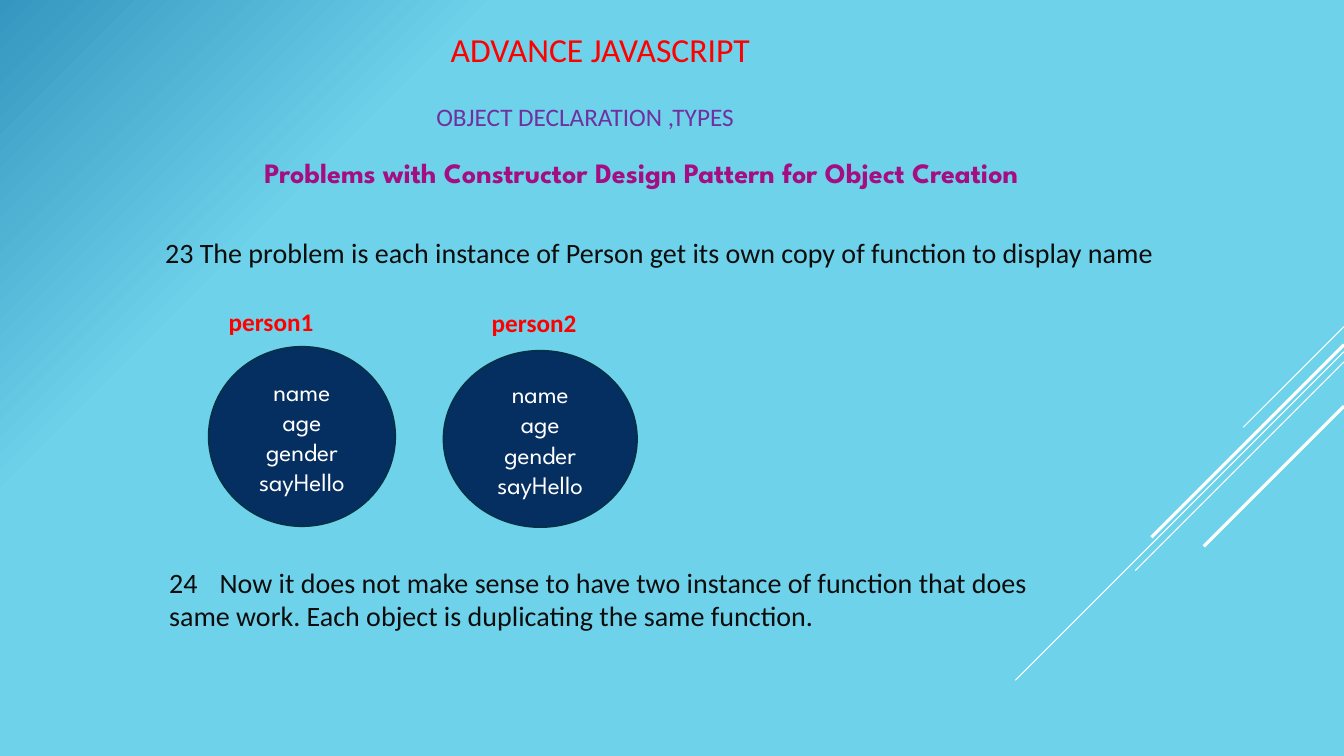
from pptx import Presentation
from pptx.dml.color import RGBColor
from pptx.enum.shapes import MSO_CONNECTOR as CONN, MSO_SHAPE as SHAPE
from pptx.enum.text import MSO_ANCHOR as ANCHOR, MSO_AUTO_SIZE as AUTO, PP_ALIGN as ALIGN
from pptx.oxml import parse_xml
from pptx.oxml.ns import nsdecls
from pptx.util import Inches, Pt

WIDTH, HEIGHT = Inches(13.33), Inches(7.5)
SANS, SPARTAN = "Calibri", "League Spartan"
RED, PURPLE, MAGENTA, INK, WHITE = "FF0000", "7030A0", "A50E82", "0D0D0D", "FFFFFF"
NAVY, NAVY_EDGE = "052F61", "043148"
MEMBERS = ("name", "age", "gender", "sayHello")


def rgb(code):
    """Turn a hex string into a colour."""
    return RGBColor.from_string(code)


def box(x, y, w, h):
    """Turn percentages of the slide's size into left, top, width and height."""
    return [int(share * side / 100) for share, side in zip((x, y, w, h), (WIDTH, HEIGHT) * 2)]


def style(obj, **values):
    """Set attributes from a dict of format values."""
    for key, value in values.items():
        setattr(obj, key, value)


def write(sp, lines, size, color, font=SANS, bold=False, align=ALIGN.LEFT, anchor=ANCHOR.TOP):
    """Fill a shape with one formatted paragraph per line."""
    tf = sp.text_frame
    style(tf, text="\n".join(lines), word_wrap=True, auto_size=AUTO.NONE, vertical_anchor=anchor)
    for p in tf.paragraphs:
        p.alignment = align
        for r in p.runs:
            style(r.font, name=font, size=Pt(size), bold=bold)
            r.font.color.rgb = rgb(color)


def add_label(slide, place, text, size, color, **fmt):
    """Add a text box with one paragraph."""
    write(slide.shapes.add_textbox(*box(*place)), [text], size, color, **fmt)


def add_person(slide, place, members):
    """Add an ellipse that lists the members of an object."""
    sp = slide.shapes.add_shape(SHAPE.OVAL, *box(*place))
    sp.shadow.inherit = False
    sp.fill.solid()
    sp.fill.fore_color.rgb = rgb(NAVY)
    sp.line.color.rgb = rgb(NAVY_EDGE)
    sp.line.width = Pt(1.25)
    write(sp, members, 18, WHITE, font=SPARTAN, align=ALIGN.CENTER, anchor=ANCHOR.MIDDLE)


def add_streak(slide, y, run, weight):
    """Add a diagonal line that falls leftwards at 45 degrees from the right edge."""
    x, top, reach, _ = box(100, y, run, 0)
    line = slide.shapes.add_connector(CONN.STRAIGHT, x, top, x - reach, top + reach)
    line.line.color.rgb = rgb(WHITE)
    line.line.width = Pt(weight)
    line._element.spPr.append(parse_xml(f"<a:effectLst {nsdecls('a')}/>"))


def paint_background(slide, stops):
    """Fill the background with a diagonal gradient from the top left corner."""
    fill = slide.background.fill
    fill.gradient()
    fill.gradient_angle = 315
    for stop, (position, color) in zip(fill.gradient_stops, stops):
        stop.position = position
        stop.color.rgb = rgb(color)


def main():
    """Build the slide and save it."""
    prs = Presentation()
    style(prs, slide_width=WIDTH, slide_height=HEIGHT)
    slide = prs.slides.add_slide(prs.slide_layouts[5])
    paint_background(slide, [(0, "3596BF"), (0.24, "6ED2EB")])

    for streak in ((43.2, 7.5, 0.75), (46.53, 24.45, 0.75), (47.87, 15.53, 0.75),
                   (45.6, 14.33, 2.25), (53.73, 10.43, 2.25)):
        add_streak(slide, *streak)

    title = slide.shapes.title
    style(title, **dict(zip(("left", "top", "width", "height"), box(32.78, 3.2, 24.38, 6.67))))
    write(title, ["ADVANCE JAVASCRIPT"], 24, RED)
    add_label(slide, (31.73, 12.8, 25.43, 5.33), "OBJECT DECLARATION ,TYPES ", 18, PURPLE)
    add_label(slide, (14.63, 19.87, 69, 5.87),
              "\t Problems with Constructor Design Pattern for Object Creation",
              20, MAGENTA, font=SPARTAN, bold=True)
    add_label(slide, (11.55, 30.53, 82.13, 5.87),
              "23 The problem is each instance of Person get its own copy of function to display name",
              20, INK)

    for name, label, oval in (
            ("person1 ", (16.28, 39.87, 8.7, 5.33), (15.53, 45.87, 13.88, 23.73)),
            ("person2 ", (35.85, 40, 8.7, 5.33), (33, 46.4, 14.4, 23.33))):
        add_label(slide, label, name, 18, RED, bold=True)
        add_person(slide, oval, MEMBERS)

    add_label(slide, (11.85, 74.13, 70.05, 10.27),
              "24 \tNow it does not make sense to have two instance of function that does "
              "\tsame work. Each object is duplicating the same function.  ", 20, INK)
    prs.save("out.pptx")


main()
